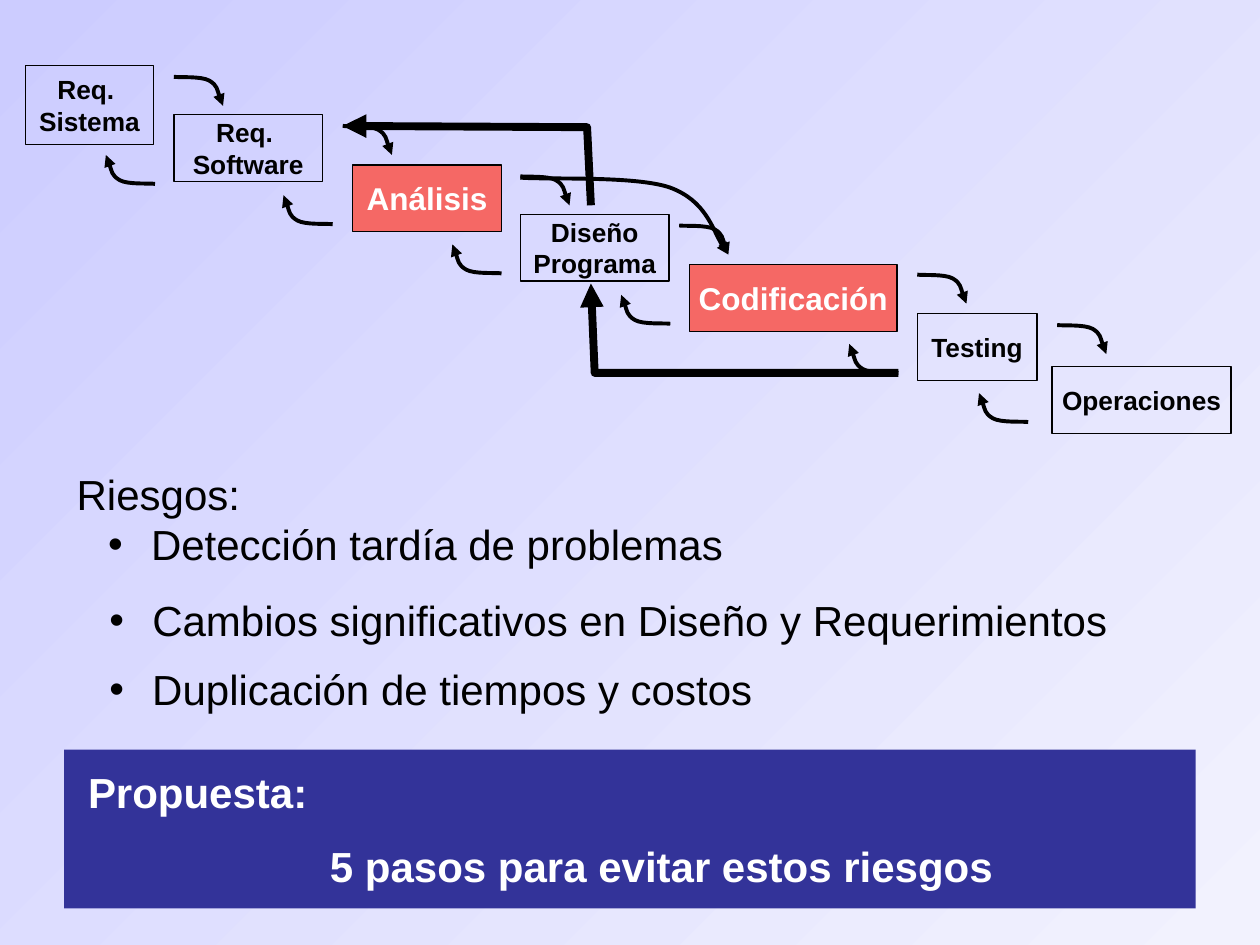
from typing import NamedTuple

from lxml import etree
from pptx import Presentation
from pptx.dml.color import RGBColor
from pptx.enum.shapes import MSO_SHAPE
from pptx.enum.text import MSO_ANCHOR, PP_ALIGN
from pptx.oxml.ns import qn
from pptx.util import Emu, Inches, Pt

RECT = MSO_SHAPE.RECTANGLE
MIDDLE = MSO_ANCHOR.MIDDLE
LEFT, CENTER = PP_ALIGN.LEFT, PP_ALIGN.CENTER
FONT = "Arial"
COLORS = {
    "black": "000000",
    "white": "FFFFFF",
    "red": "F56865",
    "navy": "333399",
    "bg_light": "F2F2FE",
    "bg_dark": "CCCCFF",
}


class Stage(NamedTuple):
    text: str
    x: float
    y: float
    w: float
    h: float = 0.53
    risky: bool = False


class Curve(NamedTuple):
    x: float
    y: float
    w: float
    h: float


class TextBlock(NamedTuple):
    lines: list[str]
    x: float
    y: float
    w: float
    h: float


STAGES = [
    Stage("Req. \nSistema", 0.2, 0.52, 1.02, 0.63),
    Stage("Req. \nSoftware", 1.38, 0.91, 1.18),
    Stage("Análisis", 2.8, 1.31, 1.18, risky=True),
    Stage("Diseño Programa", 4.13, 1.7, 1.18),
    Stage("Codificación", 5.47, 2.1, 1.65, risky=True),
    Stage("Testing", 7.28, 2.49, 0.95),
    Stage("Operaciones", 8.35, 2.91, 1.42),
]
STEP_W, STEP_H = 0.39, 0.23
FORWARD = [(1.38, 0.61), (2.72, 1), (4.13, 1.4), (5.39, 1.79), (7.28, 2.18), (8.39, 2.58)]
BACK = [(1.23, 1.46), (2.64, 1.78), (3.98, 2.17), (5.32, 2.57), (7.13, 2.96), (8.16, 3.35)]
CURVES = (
    [Curve(4.13, 1.41, 1.65, 0.61)]
    + [Curve(x, y, STEP_W, STEP_H) for x, y in FORWARD]
    + [Curve(x, y, -STEP_W, -STEP_H) for x, y in BACK]
)
# Start and two cubic segments, as fractions of the curve's width and height
CURVE_POINTS = [(0, 0), (0.12, 0.03), (0.55, -0.03), (0.72, 0.13),
                (0.89, 0.3), (0.94, 0.8), (1, 1)]
LONG_JUMPS = [
    [(7.13, 2.96), (4.72, 2.96), (4.69, 2.25)],
    [(4.69, 1.63), (4.66, 1.01), (2.72, 1)],
]
RISKS = [
    TextBlock(["Riesgos:", "• Detección tardía de problemas"], 0.51, 3.67, 5.45, 0.9),
    TextBlock(["• Cambios significativos en Diseño y Requerimientos"], 0.52, 4.67, 8.48, 0.5),
    TextBlock(["• Duplicación de tiempos y costos"], 0.52, 5.22, 5.67, 0.5),
]


def rgb(name: str) -> RGBColor:
    return RGBColor.from_string(COLORS[name])


def style(p, size: float, color: str, bold: bool = False, align=LEFT) -> None:
    p.alignment = align
    for r in p.runs:
        r.font.name, r.font.size, r.font.bold = FONT, Pt(size), bold
        r.font.color.rgb = rgb(color)


def set_indent(p, margin: float, first: float = 0) -> None:
    pPr = p._p.get_or_add_pPr()
    pPr.set("marL", str(Inches(margin)))
    pPr.set("indent", str(Inches(first)))


def add_bullet(p) -> None:
    p.level = 1
    set_indent(p, 0.59, -0.34)
    pPr = p._p.get_or_add_pPr()
    color = etree.SubElement(pPr, qn("a:buClr"))
    etree.SubElement(color, qn("a:srgbClr"), val=COLORS["black"])
    etree.SubElement(pPr, qn("a:buFont"), typeface=FONT)
    etree.SubElement(pPr, qn("a:buChar"), char="•")


def add_rect(s, x: float, y: float, w: float, h: float, fill: str | None):
    sp = s.shapes.add_shape(RECT, Inches(x), Inches(y), Inches(w), Inches(h))
    sp.shadow.inherit = False
    if fill:
        sp.fill.solid()
        sp.fill.fore_color.rgb = rgb(fill)
    else:
        sp.fill.background()
    sp.text_frame.word_wrap = True
    sp.text_frame.vertical_anchor = MIDDLE
    return sp


def add_stage(s, stage: Stage) -> None:
    sp = add_rect(s, stage.x, stage.y, stage.w, stage.h, "red" if stage.risky else None)
    sp.line.color.rgb = rgb("black")
    sp.line.width = Pt(0.75)
    tf = sp.text_frame
    tf.margin_left = tf.margin_right = tf.margin_top = tf.margin_bottom = Emu(0)
    tf.text = stage.text
    for p in tf.paragraphs:
        style(p, 18 if stage.risky else 15, "white" if stage.risky else "black", True, CENTER)


def add_arrow(s, points: list[tuple[float, float]], width: float):
    """Draw an open path through the points with a head at its end."""
    start, *rest = [(Inches(x), Inches(y)) for x, y in points]
    builder = s.shapes.build_freeform(*start)
    builder.add_line_segments(rest, close=False)
    sp = builder.convert_to_shape()
    sp.shadow.inherit = False
    sp.fill.background()
    sp.line.color.rgb = rgb("black")
    sp.line.width = Pt(width)
    etree.SubElement(sp.line._get_or_add_ln(), qn("a:tailEnd"), type="triangle")
    return sp


def add_curve(s, curve: Curve) -> None:
    """Turn each three line segments of an arrow into one cubic segment."""
    points = [(curve.x + u * curve.w, curve.y + v * curve.h) for u, v in CURVE_POINTS]
    sp = add_arrow(s, points, 2.25)
    outline = sp._element.find(".//" + qn("a:pathLst"))[0]
    lines = outline.findall(qn("a:lnTo"))
    for i in range(0, len(lines), 3):
        cubic = etree.SubElement(outline, qn("a:cubicBezTo"))
        for line in lines[i:i + 3]:
            cubic.append(line[0])
            outline.remove(line)


def add_risks(s, block: TextBlock) -> None:
    box = s.shapes.add_textbox(Inches(block.x), Inches(block.y), Inches(block.w), Inches(block.h))
    tf = box.text_frame
    tf.word_wrap = False
    tf.text = "\n".join(line.removeprefix("• ") for line in block.lines)
    for p, line in zip(tf.paragraphs, block.lines):
        style(p, 24, "black")
        if line.startswith("•"):
            add_bullet(p)


def add_proposal(s) -> None:
    sp = add_rect(s, 0.51, 5.95, 8.98, 1.26, "navy")
    sp.line.fill.background()
    tf = sp.text_frame
    tf.text = "Propuesta:\n5 pasos para evitar estos riesgos"
    heading, message = tf.paragraphs
    style(heading, 24, "white", True)
    set_indent(heading, 0.09)
    style(message, 24, "white", True, CENTER)
    message.level = 1
    message.space_before = Pt(13.5)
    set_indent(message, 0.5)


def main() -> None:
    prs = Presentation()
    prs.slide_width, prs.slide_height = Inches(10), Inches(7.5)
    s = prs.slides.add_slide(prs.slide_layouts[6])
    fill = s.background.fill
    fill.gradient()
    fill.gradient_angle = 135
    for stop, position, name in zip(fill.gradient_stops, (0, 1), ("bg_light", "bg_dark")):
        stop.position = position
        stop.color.rgb = rgb(name)
    for stage in STAGES:
        add_stage(s, stage)
    for curve in CURVES:
        add_curve(s, curve)
    for points in LONG_JUMPS:
        add_arrow(s, points, 4.5)
    for block in RISKS:
        add_risks(s, block)
    add_proposal(s)
    prs.save("out.pptx")


if __name__ == "__main__":
    main()
